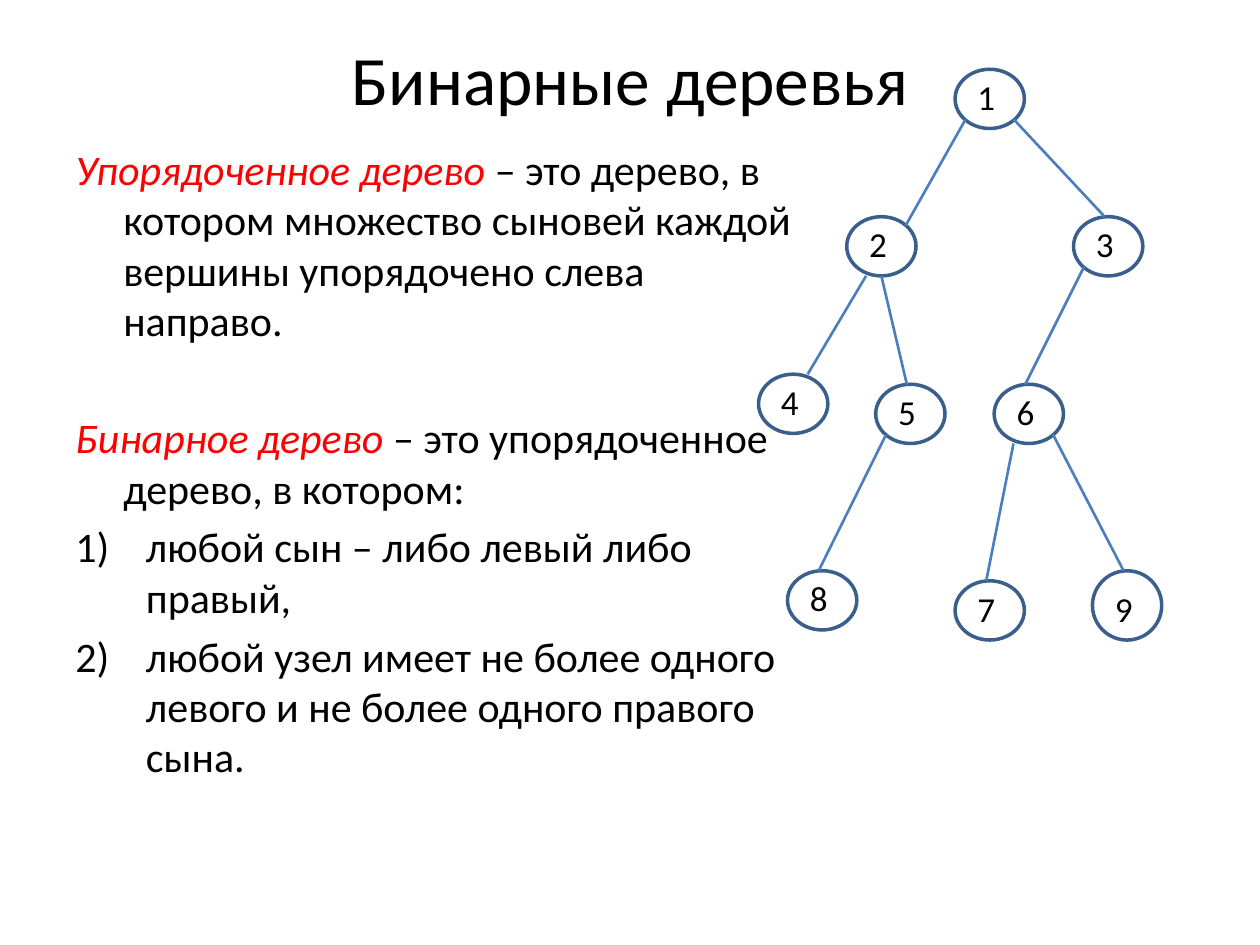
from lxml import etree
from pptx import Presentation
from pptx.dml.color import RGBColor
from pptx.enum.shapes import MSO_CONNECTOR, MSO_SHAPE
from pptx.enum.text import MSO_ANCHOR, MSO_AUTO_SIZE, PP_ALIGN
from pptx.oxml.ns import qn
from pptx.util import Inches, Pt

LINE = MSO_CONNECTOR.STRAIGHT
OVAL = MSO_SHAPE.OVAL
MIDDLE = MSO_ANCHOR.MIDDLE
CENTER = PP_ALIGN.CENTER
NO_FIT = MSO_AUTO_SIZE.NONE

FONT = "Calibri"
COLORS = {"text": "000000", "term": "FF0000", "ring": "3A5F8C", "edge": "4B7EBC"}

NODE_W, NODE_H = 0.55, 0.47
# Node number: left, top
NODES = {
    1: (7.58, 0.55),
    2: (6.72, 1.72), 3: (8.52, 1.72),
    4: (6.02, 2.97), 5: (6.95, 3.05), 6: (7.89, 3.05),
    7: (7.58, 4.61), 8: (6.25, 4.53), 9: (8.67, 4.53),
}
TALL = {9: 0.08}  # extra height; the label moves down with it

# Places on a node, as shares of its width and height
PORTS = {
    "top": (0.45, 0), "top right": (0.71, 0), "right": (0.85, 0.15),
    "low left": (0.15, 0.85), "low right": (0.85, 0.85),
    "base left": (0.28, 1), "base": (0.5, 1),
}
EDGES = [
    (1, "low left", 2, "right"), (1, "low right", 3, "top"),
    (2, "base left", 4, "top right"), (2, "base", 5, "top"),
    (3, "low left", 6, "top"), (5, "low left", 8, "top"),
    (6, "base left", 7, "top"), (6, "low right", 9, "top"),
]

# Term, text, hanging indent, space before, numbered
BODY = [
    ("Упорядоченное дерево ", "– это дерево, в котором множество сыновей "
     "каждой вершины упорядочено слева направо.", 0.38, 4.8, False),
    ("Бинарное дерево ", "– это упорядоченное дерево, в котором:", 0.38, 38, False),
    ("", "любой сын – либо левый либо правый,", 0.56, 4.8, True),
    ("", "любой узел имеет не более одного левого и не более одного "
     "правого сына.", 0.56, 4.8, True),
]


def color(name):
    return RGBColor.from_string(COLORS[name])


def style(run, size, name="text"):
    run.font.name = FONT
    run.font.size = Pt(size)
    run.font.color.rgb = color(name)
    run.font.italic = name == "term"


def add_box(slide, *place):
    return slide.shapes.add_textbox(*map(Inches, place)).text_frame


def set_title(slide):
    title = slide.shapes.title
    title.left, title.top, title.width, title.height = map(Inches, (0.5, 0.3, 9, 0.64))
    frame = title.text_frame
    frame.text = "Бинарные деревья"
    frame.auto_size = NO_FIT
    frame.vertical_anchor = MIDDLE
    frame.paragraphs[0].alignment = CENTER
    style(frame.paragraphs[0].runs[0], 39.6)


def hang(para, indent, numbered):
    """Set a hanging indent and, if asked, automatic numbers."""
    props = para._p.get_or_add_pPr()
    props.set("marL", str(Inches(indent)))
    props.set("indent", str(-Inches(indent)))
    if numbered:
        etree.SubElement(props, qn("a:buAutoNum"), type="arabicParenR")


def add_body(slide):
    frame = add_box(slide, 0.5, 1.09, 5.98, 5.61)
    frame.word_wrap = True
    for i, (term, text, indent, gap, numbered) in enumerate(BODY):
        para = frame.add_paragraph() if i else frame.paragraphs[0]
        para.space_before = Pt(gap)
        hang(para, indent, numbered)
        for part, name in ((term, "term"), (text, "text")):
            if part:
                run = para.add_run()
                run.text = part
                style(run, 24, name)


def add_node(slide, num):
    left, top = NODES[num]
    extra = TALL.get(num, 0)
    ring = slide.shapes.add_shape(
        OVAL, *map(Inches, (left, top, NODE_W, NODE_H + extra)))
    ring.shadow.inherit = False
    ring.fill.background()
    ring.line.color.rgb = color("ring")
    ring.line.width = Pt(2)
    label = add_box(slide, left + 0.08, top + extra, 0.34, 0.44)
    label.word_wrap = False
    label.text = str(num)
    style(label.paragraphs[0].runs[0], 20)


def port(num, name):
    left, top = NODES[num]
    x, y = PORTS[name]
    return Inches(left + x * NODE_W), Inches(top + y * NODE_H)


def add_edge(slide, parent, start, child, end):
    edge = slide.shapes.add_connector(LINE, *port(parent, start), *port(child, end))
    edge.line.color.rgb = color("edge")
    edge.line.width = Pt(1.5)
    etree.SubElement(edge._element.spPr, qn("a:effectLst"))


def main():
    deck = Presentation()
    deck.slide_width, deck.slide_height = Inches(10), Inches(7.5)
    slide = deck.slides.add_slide(deck.slide_layouts[5])
    set_title(slide)
    add_body(slide)
    for num in NODES:
        add_node(slide, num)
    for edge in EDGES:
        add_edge(slide, *edge)
    deck.save("out.pptx")


if __name__ == "__main__":
    main()
